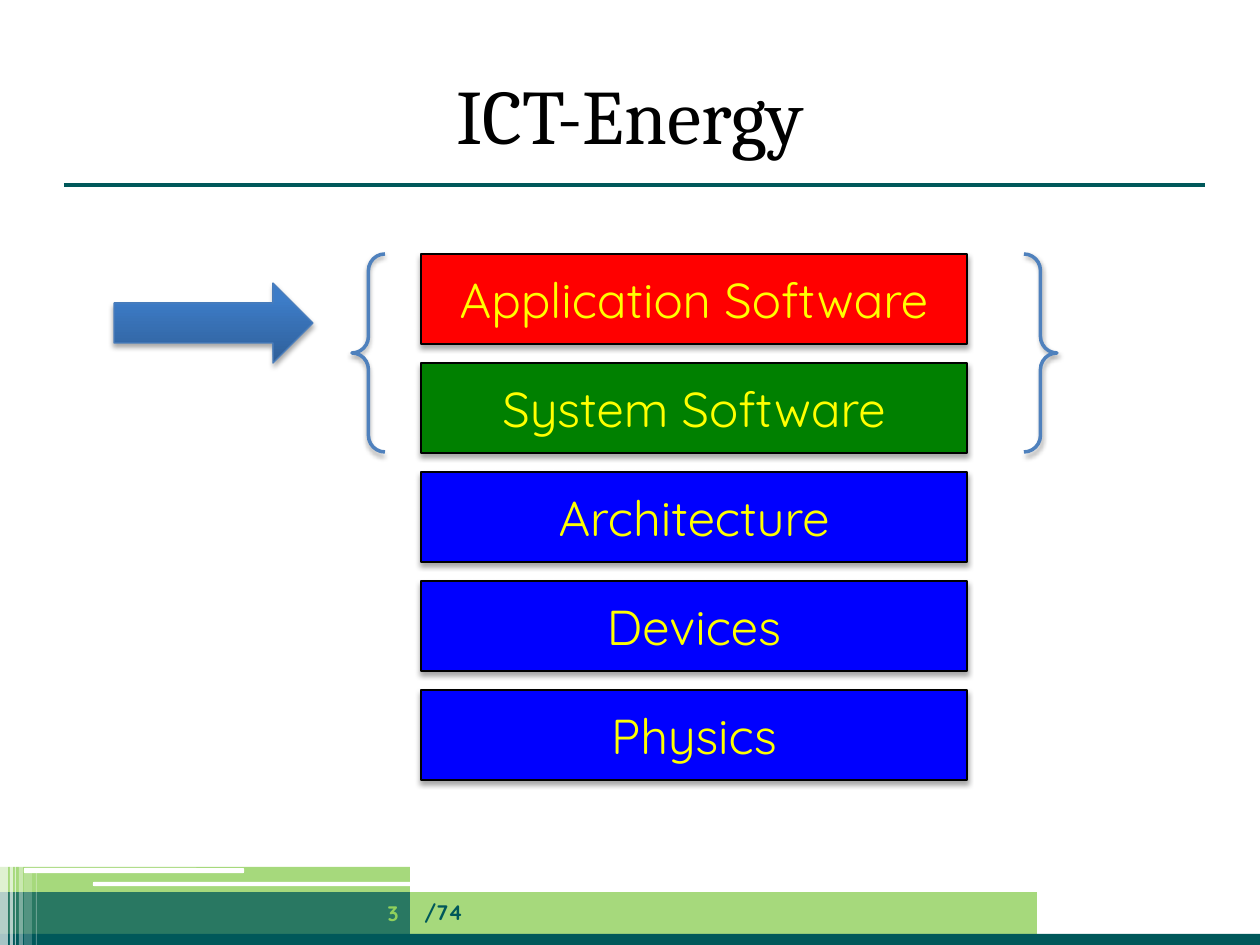
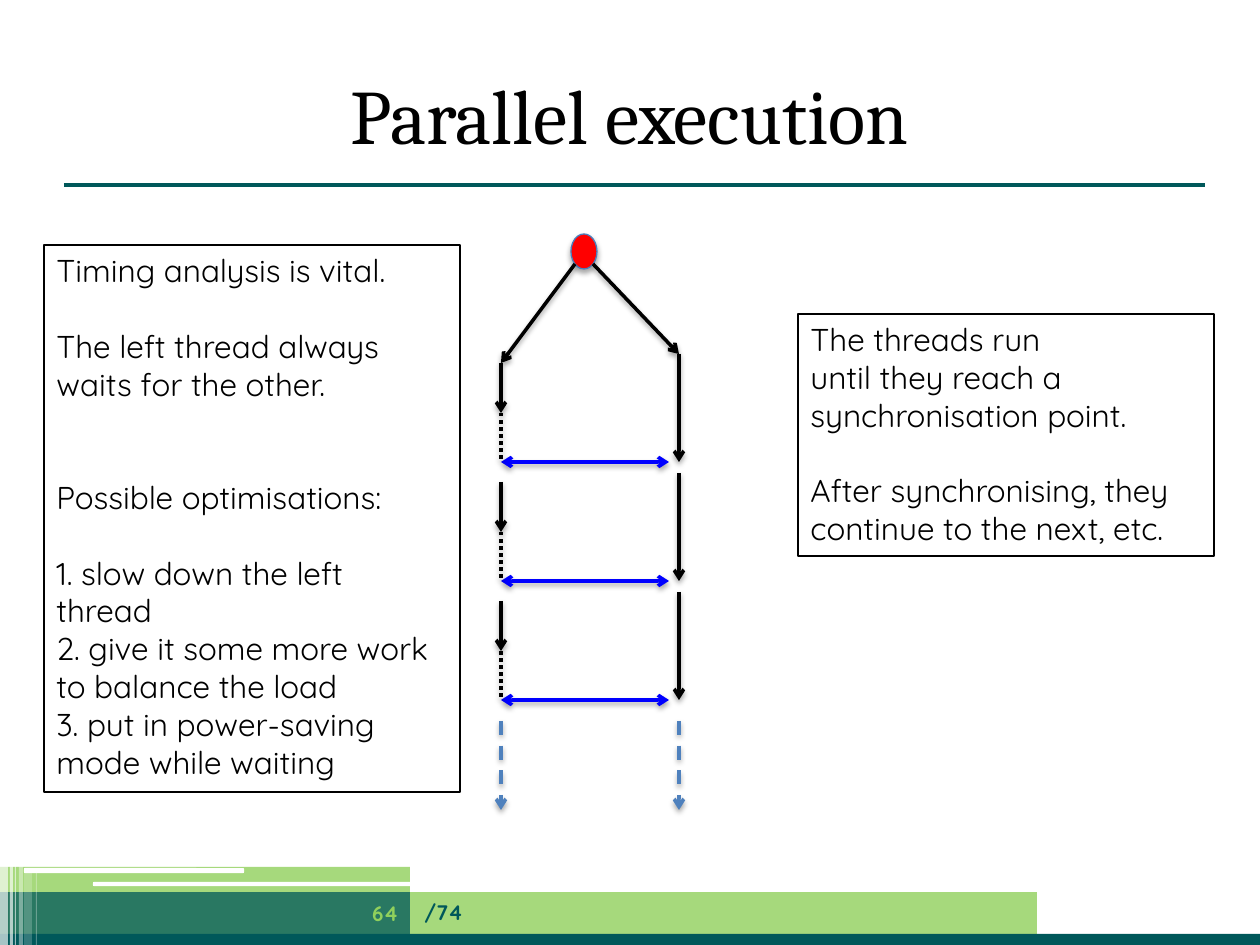
"""Build two slides on energy-aware computing: the system stack and parallel execution."""
from dataclasses import dataclass
from typing import Optional

from lxml.etree import SubElement
from pptx import Presentation
from pptx.dml.color import RGBColor
from pptx.enum.dml import MSO_LINE
from pptx.enum.shapes import MSO_CONNECTOR, MSO_SHAPE
from pptx.enum.text import MSO_ANCHOR, PP_ALIGN
from pptx.oxml.ns import qn
from pptx.util import Emu, Pt

SCALE = 914400 / 126
COLOURS = {
    "white": "FFFFFF", "black": "000000", "teal": "00585A", "green": "90D05C",
    "red": "FF0000", "dark green": "008000", "blue": "0000FF", "yellow": "FFFF00",
    "steel": "4F81BD", "outline": "4B7EBC", "arrow dark": "2F5F99", "arrow light": "3D7CC7",
}
FONTS = {
    "title": {"name": "Cambria", "size": Pt(44), "bold": False},
    "layer": {"name": "Quicksand", "size": Pt(28), "bold": False},
    "note": {"name": "Quicksand", "size": Pt(18), "bold": False},
    "footer": {"name": "Quicksand", "size": Pt(12), "bold": True},
}
NOTE_LINE = 21.6
ROUND_STEP = 119
LAYER_STEP = 109
LEFT_THREAD, RIGHT_THREAD = 501, 679


@dataclass(frozen=True)
class Box:
    """A rectangle in pixels."""

    left: int
    top: int
    width: int
    height: int

    def lengths(self):
        """Return the four sides in EMU."""
        return [to_emu(value) for value in (self.left, self.top, self.width, self.height)]


@dataclass(frozen=True)
class Band:
    """One flat part of the footer decoration."""

    box: Box
    colour: str
    opacity: int = 100
    kind: MSO_SHAPE = MSO_SHAPE.RECTANGLE


@dataclass(frozen=True)
class Stroke:
    """The look of a straight line."""

    colour: str
    width: float = 2
    dash: Optional[MSO_LINE] = None
    head: bool = False
    tail: bool = False
    shadow: bool = True


@dataclass(frozen=True)
class Line:
    """A line of a note with the number of blank lines above it."""

    text: str
    gap: int = 0


BANDS = [
    Band(Box(0, 892, 1037, 42), "green", 80),
    Band(Box(0, 934, 1260, 11), "teal"),
    Band(Box(0, 892, 410, 42), "teal", 75),
    Band(Box(0, 867, 410, 25), "green", 80),
    Band(Box(93, 882, 422, 4), "white", kind=MSO_SHAPE.ROUNDED_RECTANGLE),
    Band(Box(24, 868, 220, 5), "white", kind=MSO_SHAPE.ROUNDED_RECTANGLE),
    Band(Box(0, 865, 8, 80), "white", 65),
    Band(Box(10, 865, 3, 80), "white", 65),
    Band(Box(15, 865, 1, 80), "white", 60),
    Band(Box(19, 865, 4, 80), "white", 40),
    Band(Box(24, 869, 8, 76), "white", 20),
    Band(Box(36, 869, 1, 76), "white", 30),
]
LAYERS = [
    ("Application Software", "red"), ("System Software", "dark green"),
    ("Architecture", "blue"), ("Devices", "blue"), ("Physics", "blue"),
]
TIMING_NOTE = [
    Line("Timing analysis is vital."),
    Line("The left thread always", 1),
    Line("waits for the other."),
    Line("Possible optimisations:", 2),
    Line("1. slow down the left", 1),
    Line("thread"),
    Line("2. give it some more work"),
    Line("to balance the load"),
    Line("3. put in power-saving"),
    Line("mode while waiting"),
]
THREADS_NOTE = [
    Line("The threads run"),
    Line("until they reach a"),
    Line("synchronisation point."),
    Line("After synchronising, they", 1),
    Line("continue to the next, etc."),
]
RULE = Stroke("teal", 2.25, shadow=False)
RUN = Stroke("black", tail=True)
WAIT = Stroke("black", dash=MSO_LINE.ROUND_DOT)
SYNC = Stroke("blue", head=True, tail=True)
NEXT = Stroke("steel", dash=MSO_LINE.DASH, tail=True)


def to_emu(pixels: float) -> Emu:
    """Turn pixels into EMU."""
    return Emu(round(pixels * SCALE))


def rgb(name: str) -> RGBColor:
    """Look up a colour by name."""
    return RGBColor.from_string(COLOURS[name])


def set_effects(shape, shadow: bool) -> None:
    """Replace the theme effects by a soft drop shadow or by nothing."""
    effects = SubElement(shape._element.spPr, qn("a:effectLst"))
    if shadow:
        outer = SubElement(effects, qn("a:outerShdw"), blurRad=str(Pt(3.1)),
                           dist=str(Pt(1.8)), dir="5400000", rotWithShape="0")
        tone = SubElement(outer, qn("a:srgbClr"), val=COLOURS["black"])
        SubElement(tone, qn("a:alpha"), val="35000")


def add_figure(slide, kind: MSO_SHAPE, box: Box, fill: Optional[str] = None,
               line: Optional[str] = None, width: float = 0.75, shadow: bool = False):
    """Add a preset shape with a plain fill and outline."""
    shape = slide.shapes.add_shape(kind, *box.lengths())
    if fill:
        shape.fill.solid()
        shape.fill.fore_color.rgb = rgb(fill)
    else:
        shape.fill.background()
    if line:
        shape.line.color.rgb = rgb(line)
        shape.line.width = Pt(width)
    else:
        shape.line.fill.background()
    set_effects(shape, shadow)
    return shape


def add_line(slide, start: tuple, end: tuple, stroke: Stroke) -> None:
    """Draw a straight line between two pixel points."""
    points = [to_emu(value) for value in (*start, *end)]
    connector = slide.shapes.add_connector(MSO_CONNECTOR.STRAIGHT, *points)
    connector.line.color.rgb = rgb(stroke.colour)
    connector.line.width = Pt(stroke.width)
    if stroke.dash:
        connector.line.dash_style = stroke.dash
    outline = connector.line._get_or_add_ln()
    for tag, wanted in (("a:headEnd", stroke.head), ("a:tailEnd", stroke.tail)):
        if wanted:
            SubElement(outline, qn(tag), type="arrow")
    set_effects(connector, stroke.shadow)


def write(shape, lines: list, style: str, colour: str, align: PP_ALIGN,
          anchor: MSO_ANCHOR = MSO_ANCHOR.MIDDLE) -> None:
    """Fill a shape with formatted lines of text."""
    frame = shape.text_frame
    frame.word_wrap = True
    frame.vertical_anchor = anchor
    for index, line in enumerate(lines):
        paragraph = frame.add_paragraph() if index else frame.paragraphs[0]
        paragraph.alignment = align
        if line.gap:
            paragraph.space_before = Pt(line.gap * NOTE_LINE)
        run = paragraph.add_run()
        run.text = line.text
        for attribute, value in FONTS[style].items():
            setattr(run.font, attribute, value)
        run.font.color.rgb = rgb(colour)


def add_footer_text(slide, box: Box, text: str, colour: str, align: PP_ALIGN) -> None:
    """Add a small bold text to the footer band."""
    shape = slide.shapes.add_textbox(*box.lengths())
    write(shape, [Line(text)], "footer", colour, align)


def add_note(slide, box: Box, lines: list) -> None:
    """Add a framed note."""
    shape = add_figure(slide, MSO_SHAPE.RECTANGLE, box, line="black")
    write(shape, lines, "note", "black", PP_ALIGN.LEFT, MSO_ANCHOR.TOP)


def start_slide(presentation, title: str, number: int):
    """Add a slide with the shared title, rule and footer."""
    slide = presentation.slides.add_slide(presentation.slide_layouts[5])
    placeholder = slide.shapes.title
    sides = zip(("left", "top", "width", "height"), Box(63, 55, 1134, 118).lengths())
    for attribute, value in sides:
        setattr(placeholder, attribute, value)
    write(placeholder, [Line(title)], "title", "black", PP_ALIGN.CENTER)
    for band in BANDS:
        shape = add_figure(slide, band.kind, band.box, band.colour)
        if band.opacity < 100:
            tone = shape._element.spPr.find(qn("a:solidFill"))[0]
            SubElement(tone, qn("a:alpha"), val=str(band.opacity * 1000))
    add_line(slide, (64, 185), (1205, 185), RULE)
    add_footer_text(slide, Box(412, 887, 625, 50), "/74", "teal", PP_ALIGN.LEFT)
    add_footer_text(slide, Box(323, 888, 88, 50), str(number), "green", PP_ALIGN.RIGHT)
    return slide


def build_stack(presentation) -> None:
    """Draw the layers from application software down to physics."""
    slide = start_slide(presentation, "ICT-Energy", 3)
    for index, (name, colour) in enumerate(LAYERS):
        box = Box(421, 254 + index * LAYER_STEP, 546, 90)
        shape = add_figure(slide, MSO_SHAPE.RECTANGLE, box, colour, "black", shadow=True)
        write(shape, [Line(name)], "layer", "yellow", PP_ALIGN.CENTER)
    add_figure(slide, MSO_SHAPE.DOUBLE_BRACE, Box(352, 254, 705, 198),
               line="steel", width=2, shadow=True)
    arrow = add_figure(slide, MSO_SHAPE.RIGHT_ARROW, Box(114, 283, 199, 80),
                       "steel", "outline", shadow=True)
    arrow.fill.gradient()
    arrow.fill.gradient_angle = 90
    stops = (("arrow dark", 0), ("arrow light", 0.8))
    for stop, (colour, position) in zip(arrow.fill.gradient_stops, stops):
        stop.color.rgb = rgb(colour)
        stop.position = position


def build_threads(presentation) -> None:
    """Draw two threads that meet at synchronisation points."""
    slide = start_slide(presentation, "Parallel execution", 64)
    add_figure(slide, MSO_SHAPE.OVAL, Box(571, 234, 26, 35), "red", "outline", shadow=True)
    add_line(slide, (575, 264), (LEFT_THREAD, 363), RUN)
    add_line(slide, (593, 264), (RIGHT_THREAD, 354), RUN)
    for index in range(3):
        shift = index * ROUND_STEP
        pause, meeting = 413 + shift, 462 + shift
        add_line(slide, (LEFT_THREAD, 363 + shift), (LEFT_THREAD, pause), RUN)
        add_line(slide, (RIGHT_THREAD, 354 + shift), (RIGHT_THREAD, meeting), RUN)
        add_line(slide, (LEFT_THREAD, meeting), (669, meeting), SYNC)
        add_line(slide, (LEFT_THREAD, pause), (LEFT_THREAD, meeting), WAIT)
    for thread in (LEFT_THREAD, RIGHT_THREAD):
        add_line(slide, (thread, 721), (thread, 810), NEXT)
    add_note(slide, Box(798, 314, 416, 242), THREADS_NOTE)
    add_note(slide, Box(44, 245, 416, 547), TIMING_NOTE)


def main() -> None:
    """Build and save the presentation."""
    presentation = Presentation()
    presentation.slide_width = to_emu(1260)
    presentation.slide_height = to_emu(945)
    build_stack(presentation)
    build_threads(presentation)
    presentation.save("out.pptx")


main()
